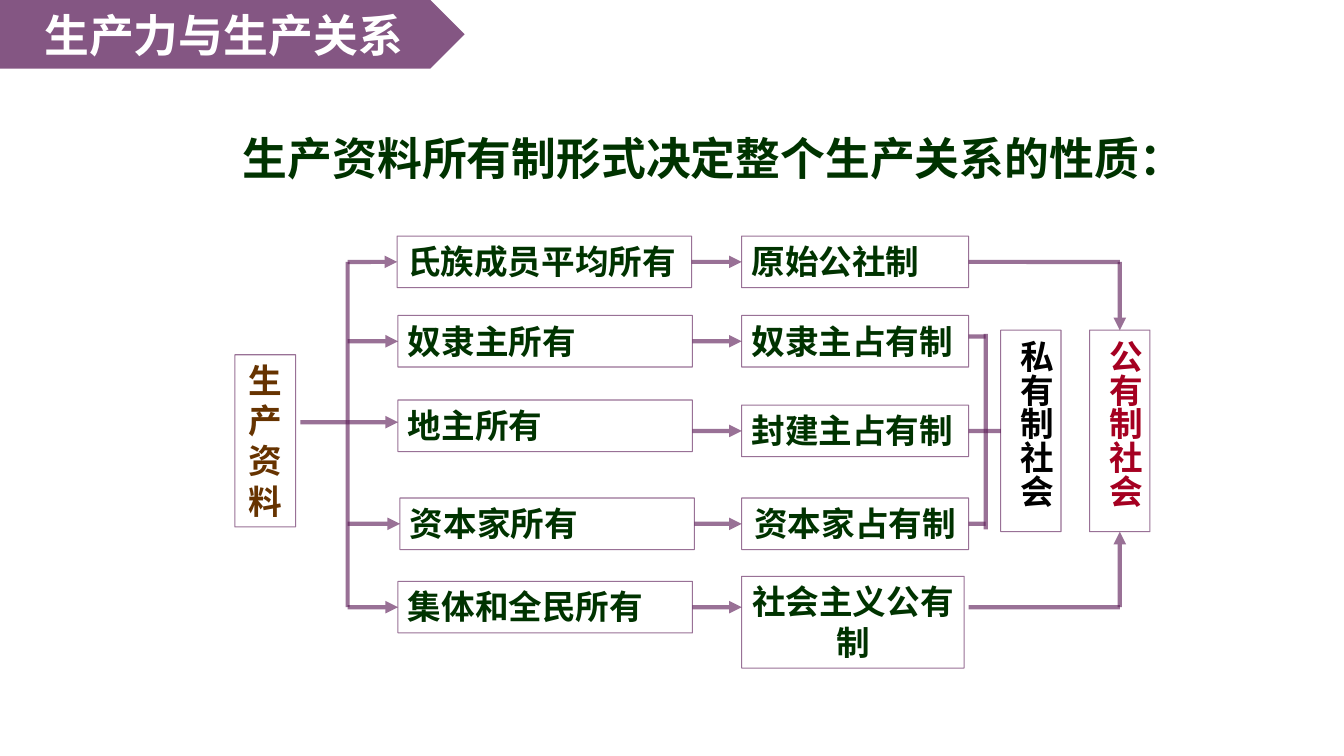
from pptx import Presentation, util as u
from pptx.dml.color import RGBColor
from pptx.enum import shapes, text
from pptx.oxml.ns import qn
from lxml import etree

FONT = "Noto Sans CJK SC"
PURPLE = RGBColor(0x5B, 0x1A, 0x56)
BANNER = RGBColor(0x5A, 0x1B, 0x58)
GREEN = RGBColor(0x00, 0x33, 0x00)
BROWN = RGBColor(0x66, 0x33, 0x00)
RED = RGBColor(0xA5, 0x00, 0x21)
BLACK = RGBColor(0, 0, 0)
WHITE = RGBColor(0xFF, 0xFF, 0xFF)
LEFT, CENTER, JUSTIFY = (text.PP_ALIGN.LEFT, text.PP_ALIGN.CENTER,
                         text.PP_ALIGN.JUSTIFY)
TOP, AT_LEFT, BOTTOM, AT_RIGHT = range(4)  # connection sites


class Diagram:
    """Holds the slide and the common style; all lengths are in cm."""

    def __init__(self, slide):
        self.shapes = slide.shapes

    def fade(self, fill, percent):
        """Make a solid fill partly transparent."""
        color = fill._xPr.find(qn("a:solidFill"))[0]
        etree.SubElement(color, qn("a:alpha"), val=str(percent * 1000))

    def add_words(self, shape, words, size, color, align):
        frame = shape.text_frame
        frame.word_wrap = True
        paragraph = frame.paragraphs[0]
        paragraph.alignment = align
        run = paragraph.add_run()
        run.text = words
        run.font.name, run.font.size, run.font.bold = FONT, u.Pt(size), True
        run.font.color.rgb = color
        latin = run._r.rPr.find(qn("a:latin"))
        latin.addnext(latin.makeelement(qn("a:ea"), {"typeface": FONT}))
        return frame

    def heading(self, words, x, y, w, h):
        area = self.shapes.add_textbox(u.Cm(x), u.Cm(y), u.Cm(w), u.Cm(h))
        self.add_words(area, words, 32, GREEN, LEFT)

    def banner(self, words, w, h):
        tag = self.shapes.add_shape(shapes.MSO_SHAPE.PENTAGON, 0, 0, u.Cm(w), u.Cm(h))
        tag.shadow.inherit = False
        tag.fill.solid()
        tag.fill.fore_color.rgb = BANNER
        self.fade(tag.fill, 74)
        tag.line.fill.background()
        frame = self.add_words(tag, words, 32, WHITE, CENTER)
        frame.vertical_anchor = text.MSO_ANCHOR.MIDDLE

    def box(self, words, x, y, w, h, color=GREEN, align=JUSTIFY, vertical=False):
        box = self.shapes.add_shape(shapes.MSO_SHAPE.RECTANGLE,
                                    u.Cm(x), u.Cm(y), u.Cm(w), u.Cm(h))
        box.shadow.inherit = False
        box.fill.background()
        box.line.color.rgb = PURPLE
        box.line.width = u.Pt(0.75)
        self.fade(box.line.fill, 62)
        frame = self.add_words(box, words, 24, color, align)
        frame.vertical_anchor = text.MSO_ANCHOR.TOP
        if vertical:
            frame._txBody.bodyPr.set("vert", "eaVert")
        return box

    def line(self, x1, y1, x2, y2, arrow=False, begin=None, end=None):
        line = self.shapes.add_connector(shapes.MSO_CONNECTOR.STRAIGHT,
                                         u.Cm(x1), u.Cm(y1), u.Cm(x2), u.Cm(y2))
        line.line.color.rgb = PURPLE
        line.line.width = u.Pt(3)
        self.fade(line.line.fill, 62)
        if arrow:
            etree.SubElement(line.line._ln, qn("a:tailEnd"), type="triangle")
        etree.SubElement(line._element.spPr, qn("a:effectLst"))
        if begin:
            line.begin_connect(*begin)
        if end:
            line.end_connect(*end)


def main():
    prs = Presentation()
    prs.slide_width, prs.slide_height = u.Cm(33.87), u.Cm(19.05)
    diagram = Diagram(prs.slides.add_slide(prs.slide_layouts[6]))

    # Titles
    diagram.heading("生产资料所有制形式决定整个生产关系的性质：", 5.87, 3.18, 24.35, 1.63)
    diagram.banner("生产力与生产关系", 11.71, 1.73)

    # Means of production and its trunk
    trunk_x, trunk_y = 8.76, 10.64
    diagram.box("生产资料", 5.92, 8.94, 1.53, 4.34, BROWN, CENTER)
    diagram.line(7.57, trunk_y, trunk_x, trunk_y)
    diagram.line(trunk_x, 6.6, trunk_x, 15.3)

    # Forms of ownership (left, middle) and systems (middle, width, height)
    row_h, form_w, system_x, system_w = 1.3, 7.42, 18.69, 5.72
    rows = [
        ("氏族成员平均所有", 10.01, 6.6, "原始公社制", 6.6, system_w, row_h, JUSTIFY),
        ("奴隶主所有", 10.03, 8.6, "奴隶主占有制", 8.6, system_w, row_h, JUSTIFY),
        ("地主所有", 10.03, 10.73, "封建主占有制", 10.86, system_w, row_h, JUSTIFY),
        ("资本家所有", 10.08, 13.2, "资本家占有制", 13.2, system_w, row_h, CENTER),
        ("集体和全民所有", 10.03, 15.3, "社会主义公有制", 15.68, 5.61, 2.31, CENTER),
    ]
    systems = []
    for form_name, form_x, form_y, system_name, system_y, w, h, align in rows:
        form = diagram.box(form_name, form_x, form_y - row_h / 2, form_w, row_h)
        system = diagram.box(system_name, system_x, system_y - h / 2, w, h, align=align)
        systems.append(system)
        if form_name == "地主所有":  # branch runs straight on from the trunk
            diagram.line(trunk_x, trunk_y, form_x, trunk_y, arrow=True)
        else:
            diagram.line(trunk_x, form_y, form_x, form_y, arrow=True, end=(form, AT_LEFT))
        level = system_y if h == row_h else form_y
        diagram.line(form_x + form_w, level, system_x, level, arrow=True,
                     begin=(form, AT_RIGHT) if level == form_y else None,
                     end=(system, AT_LEFT) if level == system_y else None)

    # Societies
    society_y, society_w, society_h = 8.32, 1.52, 5.08
    private = diagram.box("私有制社会", 25.22, society_y, society_w, society_h,
                          BLACK, LEFT, vertical=True)
    public = diagram.box("公有制社会", 27.46, society_y, society_w, society_h,
                         RED, LEFT, vertical=True)

    # Bracket from the three private systems
    system_end, bracket_x, middle = system_x + system_w, 24.84, 10.86
    diagram.line(system_end, 8.48, bracket_x, 8.48)
    for system, y in ((systems[2], middle), (systems[3], 13.2)):
        diagram.line(system_end, y, bracket_x, y, begin=(system, AT_RIGHT))
    diagram.line(bracket_x, 8.41, bracket_x, 13.34)
    diagram.line(bracket_x, middle, 25.22, middle, end=(private, AT_LEFT))

    # Paths from the first and last systems to public ownership
    public_x = 27.46 + society_w / 2
    diagram.line(system_end, 6.6, public_x, 6.6, begin=(systems[0], AT_RIGHT))
    diagram.line(system_end, 15.3, public_x, 15.3)
    diagram.line(public_x, 6.6, public_x, society_y, arrow=True, end=(public, TOP))
    diagram.line(public_x, 15.3, public_x, society_y + society_h, arrow=True,
                 end=(public, BOTTOM))

    prs.save("out.pptx")


if __name__ == "__main__":
    main()
